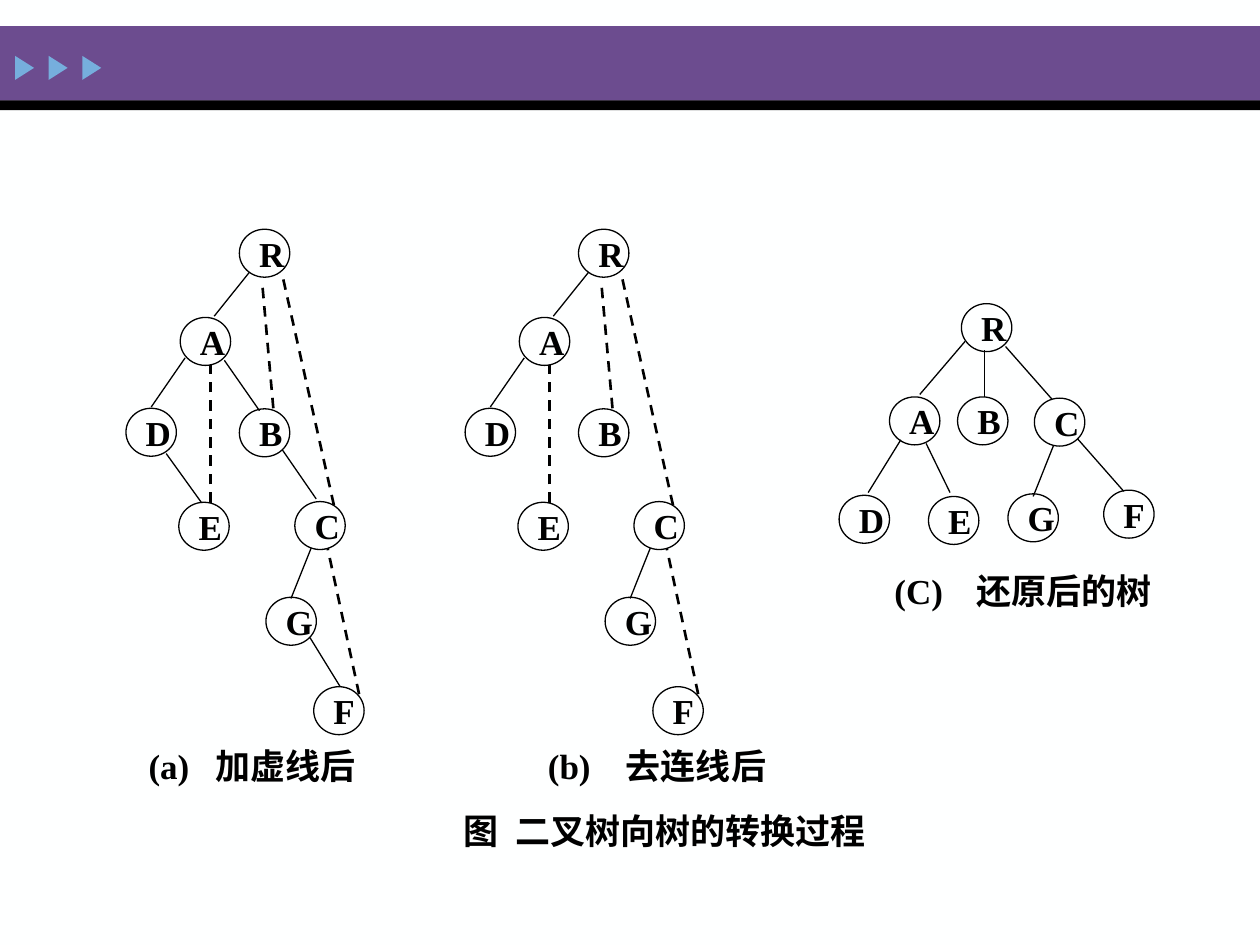
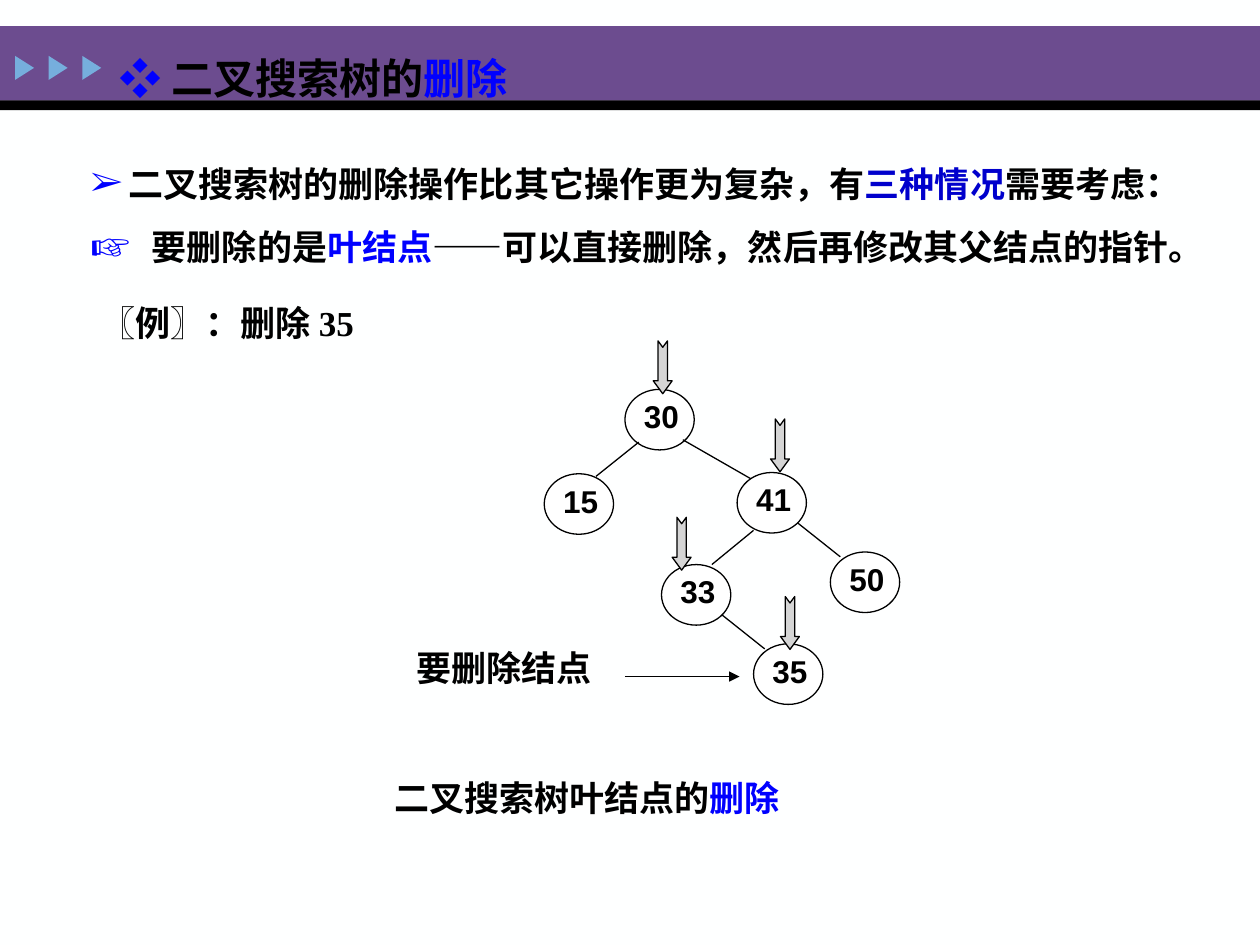
from dataclasses import dataclass
from typing import NamedTuple

from lxml.etree import SubElement
from pptx import Presentation
from pptx.dml.color import RGBColor
from pptx.enum.dml import MSO_LINE
from pptx.enum.shapes import MSO_CONNECTOR, MSO_SHAPE as SHAPE
from pptx.enum.text import MSO_ANCHOR as ANCHOR, MSO_AUTO_SIZE, PP_ALIGN as ALIGN
from pptx.oxml.ns import qn
from pptx.util import Pt

BLACK, BLUE, DEEP_BLUE = "000000", "0000FF", "0000CC"
PURPLE, SKY, GREY, WHITE, PAPER = "6C4C8F", "76AEDD", "D5D5D5", "FFFFFF", "FEFFFF"
SERIF, SANS, CJK = "Times New Roman", "Arial", "Noto Sans CJK SC"


class Box(NamedTuple):
    x: float
    y: float
    w: float
    h: float


class Seg(NamedTuple):
    text: str
    color: str = BLACK


class Edge(NamedTuple):
    x1: float
    y1: float
    x2: float
    y2: float


class Node(NamedTuple):
    label: str
    x: float
    y: float


@dataclass(frozen=True)
class NodeStyle:
    w: float
    h: float
    font: str
    size: float
    align: ALIGN
    insets: tuple
    fill: str | None = None


@dataclass(frozen=True)
class Caption:
    text: str
    box: Box
    tab: float


LETTER = NodeStyle(28.8, 27.4, SERIF, 20, ALIGN.LEFT, (7.2, 3.6, 7.2, 3.6))
NUMBER = NodeStyle(39.6, 34.6, SANS, 18, ALIGN.CENTER, (2, 0, 0, 4), WHITE)

TREE_SHIFT = 193.8
BINARY_NODES = [
    Node("R", 136.8, 131), Node("A", 103, 181.4), Node("D", 72, 233.3),
    Node("B", 136.8, 233.6), Node("C", 168.5, 286.6), Node("E", 102.2, 287),
    Node("G", 152, 341.3), Node("F", 179.3, 392.4),
]
KEPT_EDGES = [
    Edge(142.6, 155.5, 122.4, 180.7), Edge(105.8, 204.5, 86.4, 232.6),
    Edge(177.8, 313.2, 166.3, 342),
]
REMOVED_EDGES = [
    Edge(128.2, 205.9, 148.3, 234.7), Edge(177.1, 364.3, 194.4, 392.4),
    Edge(161.3, 257, 180.7, 285.1), Edge(95, 259.2, 115.2, 287.3),
]
DASHED_EDGES = [
    Edge(156.2, 233.3, 149.8, 161.3), Edge(190.8, 288.7, 161.3, 157),
    Edge(120.2, 287.3, 120.2, 208.8), Edge(205.2, 396.7, 187.2, 313.2),
]
RESTORED_NODES = [
    Node("R", 549.4, 173.5), Node("A", 508.3, 226.8), Node("B", 547.2, 226.8),
    Node("C", 591.1, 227.5), Node("D", 479.5, 283), Node("E", 530.6, 283.7),
    Node("G", 576, 282.2), Node("F", 630.7, 280.1),
]
RESTORED_EDGES = [
    Edge(551.5, 195.1, 525.6, 225.4), Edge(562.6, 200.2, 562.6, 226.8),
    Edge(574.6, 198, 601.2, 228.2), Edge(514.8, 251.3, 496.1, 281.5),
    Edge(529.2, 253.4, 542.9, 281.5), Edge(615.6, 250.6, 642.2, 280.8),
    Edge(601.9, 254.9, 590.4, 283.7),
]
CAPTIONS = [
    Caption("(a)\t加虚线后", Box(77.8, 424.8, 150, 25.2), 38.2),
    Caption("(b)\t去连线后", Box(306, 424.8, 150, 25.2), 44.6),
    Caption("(C)\t还原后的树", Box(504, 323.3, 175, 28), 46.8),
    Caption("图\t二叉树向树的转换过程", Box(257.8, 460.8, 283.7, 28), 29.7),
]
SEARCH_NODES = [
    Node("30", 357.1, 222.5), Node("15", 311, 270.7), Node("41", 421.2, 270),
    Node("33", 378, 322.6), Node("50", 474.5, 315.4), Node("35", 430.6, 367.9),
]
SEARCH_EDGES = [
    Edge(390.2, 251.3, 429.1, 273.6), Edge(365, 252.7, 340.6, 272.2),
    Edge(430.6, 303.1, 406.8, 322.6), Edge(455.8, 298.8, 480.2, 318.2),
    Edge(412.6, 351.4, 437, 370.8),
]
VISIT_MARKS = [(363.6, 204.5), (430.6, 249.1), (374.4, 305.3), (436.3, 350.6)]


def rgb(color: str) -> RGBColor:
    return RGBColor.from_string(color)


def place(sp, box: Box) -> None:
    sp.left, sp.top, sp.width, sp.height = map(Pt, box)


def style_run(r, size: float, color: str, font: str) -> None:
    r.font.size, r.font.bold, r.font.name = Pt(size), True, font
    r.font.color.rgb = rgb(color)
    SubElement(r._r.get_or_add_rPr(), qn("a:ea")).set("typeface", CJK)


def fill_paragraph(p, segs: list[Seg], size: float, font: str = SERIF,
                   align: ALIGN = ALIGN.LEFT) -> None:
    p.alignment = align
    for seg in segs:
        r = p.add_run()
        r.text = seg.text
        style_run(r, size, seg.color, font)


def set_frame(tf, anchor: ANCHOR, insets: tuple = (7.2, 3.6, 7.2, 3.6),
              wrap: bool = True) -> None:
    tf.word_wrap, tf.auto_size, tf.vertical_anchor = wrap, MSO_AUTO_SIZE.NONE, anchor
    tf.margin_left, tf.margin_top, tf.margin_right, tf.margin_bottom = map(Pt, insets)


def set_bullet(p, char: str, indent: float, percent: int) -> None:
    pPr = p._p.get_or_add_pPr()
    pPr.set("marL", str(Pt(indent)))
    pPr.set("indent", str(-Pt(indent)))
    SubElement(SubElement(pPr, qn("a:buClr")), qn("a:srgbClr")).set("val", BLUE)
    SubElement(pPr, qn("a:buSzPct")).set("val", str(percent * 1000))
    SubElement(pPr, qn("a:buFont")).set("typeface", SERIF)
    SubElement(pPr, qn("a:buChar")).set("char", char)


def set_tab(p, pos: float) -> None:
    tabs = SubElement(p._p.get_or_add_pPr(), qn("a:tabLst"))
    tab = SubElement(tabs, qn("a:tab"))
    tab.set("pos", str(Pt(pos)))
    tab.set("algn", "l")


def add_shape(s, kind: SHAPE, box: Box, fill: str | None, line: str | None = None):
    sp = s.shapes.add_shape(kind, *map(Pt, box))
    sp.shadow.inherit = False
    if fill:
        sp.fill.solid()
        sp.fill.fore_color.rgb = rgb(fill)
    else:
        sp.fill.background()
    if line:
        sp.line.color.rgb = rgb(line)
        sp.line.width = Pt(0.75)
    else:
        sp.line.fill.background()
    return sp


def add_text(s, box: Box, segs: list[Seg], anchor: ANCHOR = ANCHOR.TOP,
             tab: float | None = None) -> None:
    tf = s.shapes.add_textbox(*map(Pt, box)).text_frame
    set_frame(tf, anchor)
    if tab:
        set_tab(tf.paragraphs[0], tab)
    fill_paragraph(tf.paragraphs[0], segs, 20)


def add_edge(s, edge: Edge, dashed: bool = False, arrow: bool = False) -> None:
    c = s.shapes.add_connector(MSO_CONNECTOR.STRAIGHT, *map(Pt, edge))
    c.line.color.rgb = rgb(BLACK)
    c.line.width = Pt(1.5 if dashed else 0.75)
    if dashed:
        c.line.dash_style = MSO_LINE.DASH
    spPr = c._element.spPr
    if arrow:
        SubElement(spPr.find(qn("a:ln")), qn("a:tailEnd")).set("type", "triangle")
    SubElement(spPr, qn("a:effectLst"))


def add_tree(s, nodes: list[Node], edges: list[Edge], style: NodeStyle,
             dashed: tuple | list = (), dx: float = 0) -> None:
    for node in nodes:
        box = Box(node.x + dx, node.y, style.w, style.h)
        tf = add_shape(s, SHAPE.OVAL, box, style.fill, BLACK).text_frame
        set_frame(tf, ANCHOR.MIDDLE, style.insets, wrap=False)
        fill_paragraph(tf.paragraphs[0], [Seg(node.label)], style.size, style.font, style.align)
    for group, is_dashed in ((edges, False), (dashed, True)):
        for e in group:
            add_edge(s, Edge(e.x1 + dx, e.y1, e.x2 + dx, e.y2), is_dashed)


def add_slide(prs, layout: int):
    s = prs.slides.add_slide(prs.slide_layouts[layout])
    s.background.fill.solid()
    s.background.fill.fore_color.rgb = rgb(PAPER)
    add_shape(s, SHAPE.RECTANGLE, Box(0, 15, 720, 42.5), PURPLE)
    add_shape(s, SHAPE.RECTANGLE, Box(0, 57.4, 720, 5.6), BLACK)
    for i in range(3):
        box = Box(7.2 + 19.2 * i, 33.4, 13.7, 10.8)
        add_shape(s, SHAPE.ISOSCELES_TRIANGLE, box, SKY).rotation = 90
    return s


def build_conversion(prs) -> None:
    s = add_slide(prs, 6)
    add_tree(s, BINARY_NODES, KEPT_EDGES + REMOVED_EDGES, LETTER, DASHED_EDGES)
    add_tree(s, BINARY_NODES, KEPT_EDGES, LETTER, DASHED_EDGES, TREE_SHIFT)
    add_tree(s, RESTORED_NODES, RESTORED_EDGES, LETTER)
    for cap in CAPTIONS:
        add_text(s, cap.box, [Seg(cap.text)], ANCHOR.MIDDLE, cap.tab)


def build_deletion(prs) -> None:
    s = add_slide(prs, 1)
    title, body = s.shapes.title, s.placeholders[1]
    for sp in (title, body):
        s.shapes._spTree.append(sp._element)
    place(title, Box(61.2, 25.9, 252, 36.7))
    set_frame(title.text_frame, ANCHOR.MIDDLE)
    fill_paragraph(title.text_frame.paragraphs[0],
                   [Seg("❖ ", BLUE), Seg("二叉搜索树的"), Seg("删除", BLUE)], 24)

    place(body, Box(44.6, 89, 656, 80))
    tf = body.text_frame
    set_frame(tf, ANCHOR.TOP)
    p = tf.paragraphs[0]
    set_bullet(p, "➢", 21.6, 100)
    p.space_before = Pt(0)
    fill_paragraph(p, [Seg("二叉搜索树的删除操作比其它操作更为复杂，有"),
                       Seg("三种情况", DEEP_BLUE), Seg("需要考虑：")], 20)
    p = tf.add_paragraph()
    set_bullet(p, "☞", 35, 140)
    p.space_before = Pt(12)
    fill_paragraph(p, [Seg("要删除的是"), Seg("叶结点", BLUE),
                       Seg("——可以直接删除，然后再修改其父结点的指针。")], 20)

    add_text(s, Box(50.4, 168.5, 162, 62), [Seg("〖例〗：删除 35")])
    add_text(s, Box(218.2, 440, 245, 31.7), [Seg("二叉搜索树叶结点的"), Seg("删除", BLUE)])
    add_tree(s, SEARCH_NODES, SEARCH_EDGES, NUMBER)
    for x, y in VISIT_MARKS:
        sp = add_shape(s, SHAPE.NOTCHED_RIGHT_ARROW, Box(x, y, 30.2, 10.8), GREY, BLACK)
        sp.rotation = 90
        sp.adjustments[0], sp.adjustments[1] = 0.5, 0.68

    tf = s.shapes.add_textbox(*map(Pt, Box(221, 369.4, 134, 38))).text_frame
    set_frame(tf, ANCHOR.TOP, (0, 0, 0, 0))
    fill_paragraph(tf.paragraphs[0], [Seg("要删除结点")], 20, CJK, ALIGN.CENTER)
    add_edge(s, Edge(357.1, 386.6, 422.6, 386.6), arrow=True)


def main() -> None:
    """Build the two slides on turning binary trees into trees and deleting leaves."""
    prs = Presentation()
    prs.slide_width, prs.slide_height = Pt(720), Pt(540)
    build_conversion(prs)
    build_deletion(prs)
    prs.save("out.pptx")


if __name__ == "__main__":
    main()
